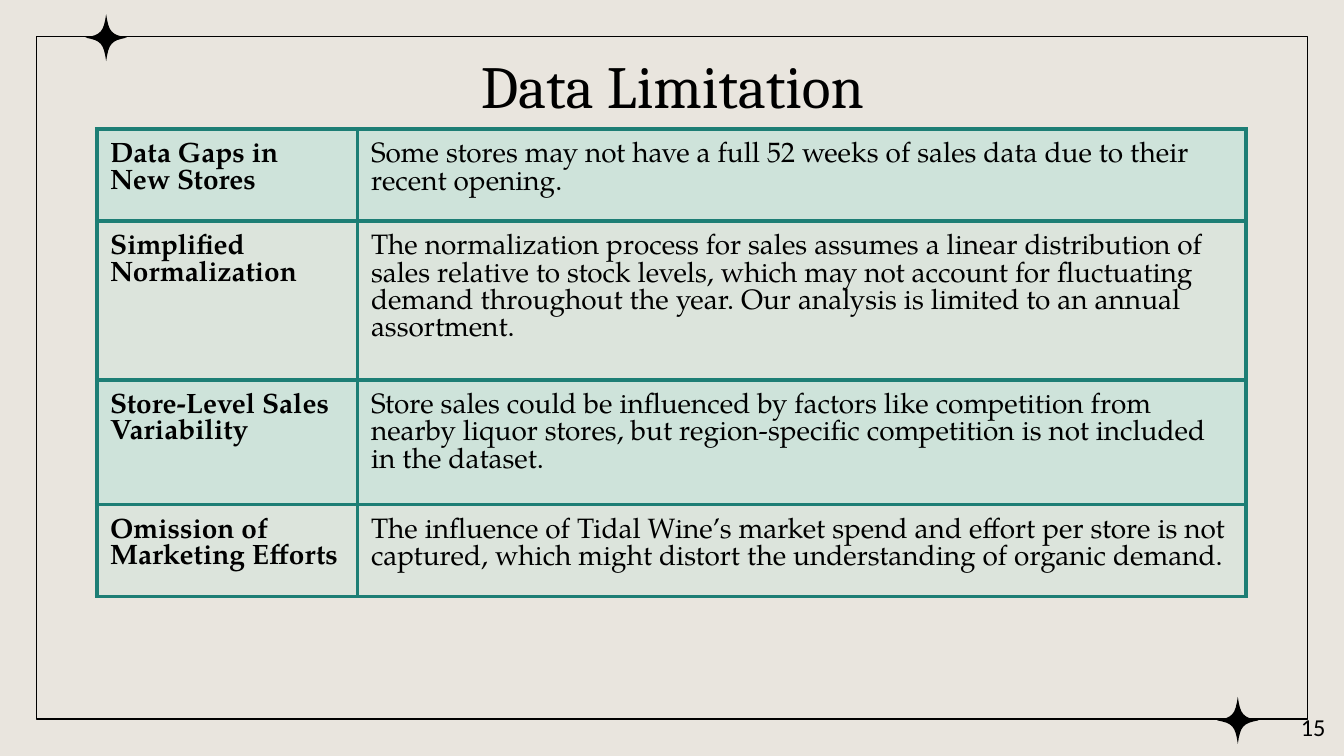
from lxml import etree
from pptx import Presentation
from pptx import util as u
from pptx.dml.color import RGBColor
from pptx.enum import shapes, text
from pptx.oxml import ns

BACKGROUND = RGBColor(0xE9, 0xE5, 0xDE)
BLACK = RGBColor(0, 0, 0)
MINT = RGBColor(0xB5, 0xE3, 0xD8)
TEAL = RGBColor(0x1D, 0x7E, 0x75)
PADDING = u.Inches(0.1)
BAND_OPACITY = (51, 23)
CURVE_STEPS = 8

LIMITATIONS = [
    ("Data Gaps in New Stores",
     "Some stores may not have a full 52 weeks of sales data due to their recent opening."),
    ("Simplified Normalization",
     "The normalization process for sales assumes a linear distribution of sales relative to "
     "stock levels, which may not account for fluctuating demand throughout the year. "
     "Our analysis is limited to an annual assortment."),
    ("Store-Level Sales Variability",
     "Store sales could be influenced by factors like competition from nearby liquor stores, "
     "but region-specific competition is not included in the dataset."),
    ("Omission of Marketing Efforts",
     "The influence of Tidal Wine’s market spend and effort per store is not captured, "
     "which might distort the understanding of organic demand."),
]
ROW_HEIGHTS = (0.68, 1.18, 0.92, 0.68)
COLUMN_SHARES = (0.227, 0.773)


def add_run(paragraph, words, font_name, size, bold=False):
    run = paragraph.add_run()
    run.text = words
    run.font.name = font_name
    run.font.size = u.Pt(size)
    run.font.bold = bold
    run.font.color.rgb = BLACK


def add_label(slide, box, words, font_name, size, alignment):
    frame = slide.shapes.add_textbox(*map(u.Inches, box)).text_frame
    frame.word_wrap = True
    frame.vertical_anchor = text.MSO_ANCHOR.MIDDLE
    frame.margin_left = frame.margin_right = PADDING
    frame.margin_top = frame.margin_bottom = PADDING
    paragraph = frame.paragraphs[0]
    paragraph.alignment = alignment
    add_run(paragraph, words, font_name, size)


def curve_points(start, first, second, end):
    for step in range(1, CURVE_STEPS + 1):
        t = step / CURVE_STEPS
        weights = ((1 - t) ** 3, 3 * t * (1 - t) ** 2, 3 * t ** 2 * (1 - t), t ** 3)
        yield tuple(sum(weight * point[axis] for weight, point
                        in zip(weights, (start, first, second, end)))
                    for axis in (0, 1))


def add_star(slide, box):
    left, top, width, height = box
    center_x, center_y = left + width / 2, top + height / 2
    tips = [(1, 0), (0, 1), (-1, 0), (0, -1)]
    outline = [tips[0]]
    for index, start in enumerate(tips):
        end = tips[(index + 1) % 4]
        controls = [(0.25 * a + 0.12 * b, 0.25 * c + 0.12 * d)
                    for a, b, c, d in ((start[0], end[0], start[1], end[1]),
                                       (end[0], start[0], end[1], start[1]))]
        outline.extend(curve_points(start, *controls, end))
    points = [(u.Inches(center_x + x * width / 2), u.Inches(center_y + y * height / 2))
              for x, y in outline]
    builder = slide.shapes.build_freeform(*points[0])
    builder.add_line_segments(points[1:], close=True)
    star = builder.convert_to_shape()
    star.shadow.inherit = False
    star.fill.solid()
    star.fill.fore_color.rgb = BLACK
    star.line.fill.background()


def add_frame(slide, box):
    left, top, width, height = box
    border = slide.shapes.add_shape(shapes.MSO_SHAPE.RECTANGLE, *map(u.Inches, box))
    border.shadow.inherit = False
    border.fill.background()
    border.line.color.rgb = BLACK
    border.line.width = u.Pt(0.75)
    star_width, star_height = 0.31, 0.35
    inset = 0.52
    for x, y in ((left + inset, top), (left + width - inset, top + height)):
        add_star(slide, (x - star_width / 2, y - star_height / 2 + 0.01,
                         star_width, star_height))


def style_cell(cell, opacity):
    properties = cell._tc.get_or_add_tcPr()
    for side in ("lnL", "lnR", "lnT", "lnB"):
        line = etree.SubElement(properties, ns.qn(f"a:{side}"), w=str(u.Pt(2.25)))
        fill = etree.SubElement(line, ns.qn("a:solidFill"))
        etree.SubElement(fill, ns.qn("a:srgbClr"), val=str(TEAL))
    cell.fill.solid()
    cell.fill.fore_color.rgb = MINT
    color = properties.find(ns.qn("a:solidFill")).find(ns.qn("a:srgbClr"))
    etree.SubElement(color, ns.qn("a:alpha"), val=str(opacity * 1000))
    cell.margin_left = cell.margin_right = PADDING
    cell.margin_top = cell.margin_bottom = PADDING


def add_limitations(slide, box):
    width = box[2]
    table = slide.shapes.add_table(len(LIMITATIONS), 2, *map(u.Inches, box)).table
    table.first_row = table.horz_banding = False
    for column, share in zip(table.columns, COLUMN_SHARES):
        column.width = u.Inches(width * share)
    for row_index, (row, height) in enumerate(zip(table.rows, ROW_HEIGHTS)):
        row.height = u.Inches(height)
        for column_index, words in enumerate(LIMITATIONS[row_index]):
            cell = table.cell(row_index, column_index)
            style_cell(cell, BAND_OPACITY[row_index % 2])
            paragraph = cell.text_frame.paragraphs[0]
            paragraph.line_spacing = 0.97
            add_run(paragraph, words, "TeX Gyre Pagella", 15, bold=column_index == 0)


def main():
    presentation = Presentation()
    presentation.slide_width = u.Inches(10)
    presentation.slide_height = presentation.slide_width * 9 // 16
    slide = presentation.slides.add_slide(presentation.slide_layouts[6])
    slide.background.fill.solid()
    slide.background.fill.fore_color.rgb = BACKGROUND
    add_frame(slide, (0.27, 0.27, 9.46, 5.08))
    add_label(slide, (0.28, 0.28, 9.45, 0.7), "Data Limitation", "Cambria", 32,
              text.PP_ALIGN.CENTER)
    add_label(slide, (9.36, 5.19, 0.6, 0.43), "15", "Calibri", 13, text.PP_ALIGN.RIGHT)
    add_limitations(slide, (0.72, 0.96, 8.55, sum(ROW_HEIGHTS)))
    presentation.save("out.pptx")


if __name__ == "__main__":
    main()
